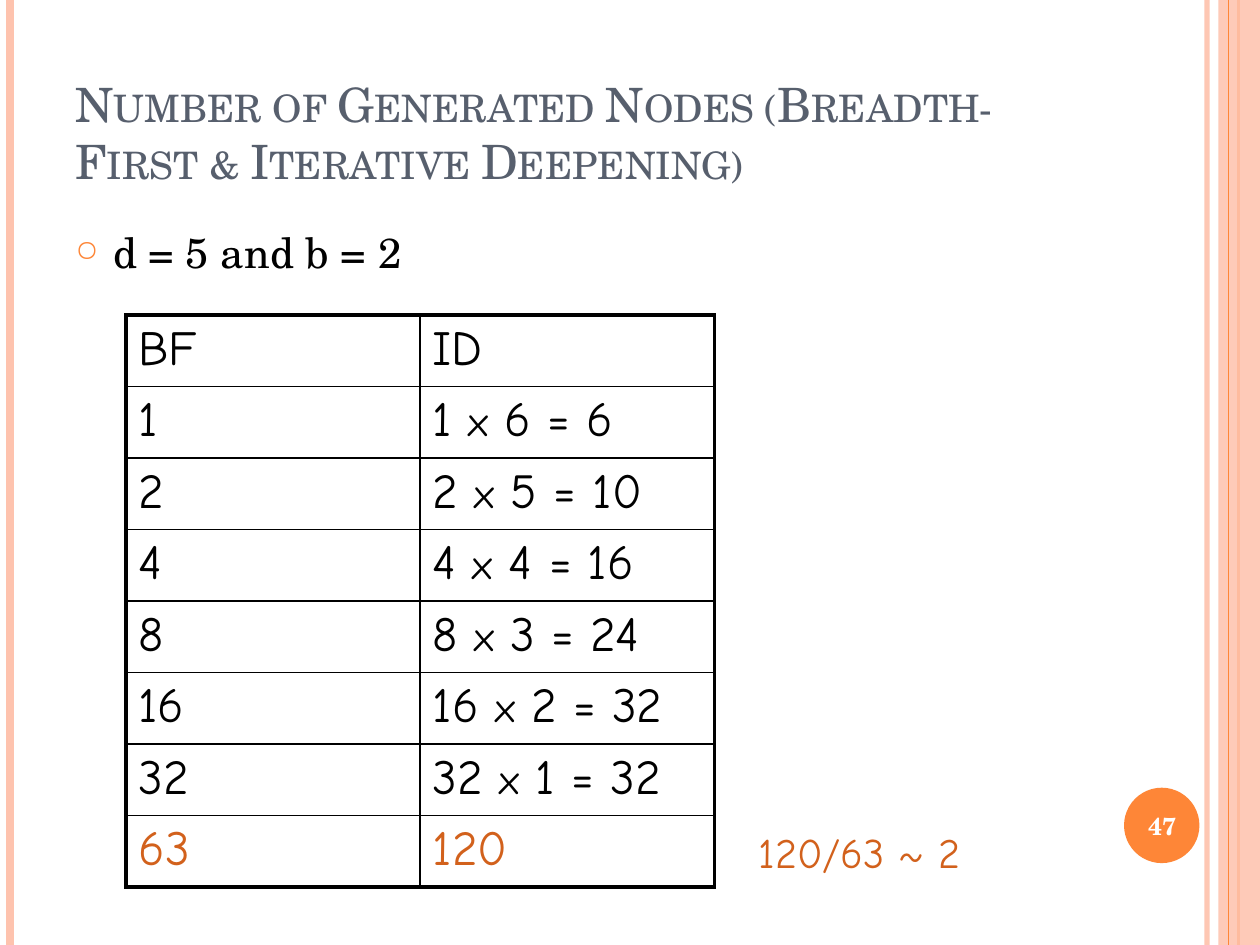
from lxml import etree
from pptx import Presentation
from pptx import util as u
from pptx.dml import color
from pptx.enum import shapes, text
from pptx.oxml import ns

SERIF, COMIC = "TeX Gyre Schola", "Comic Neue"
BLACK, WHITE, SLATE = "000000", "FFFFFF", "575F6D"
ORANGE, RUST, PEACH = "FE8637", "D2611C", "FEC3AE"
SLIDE_WIDTH, SLIDE_HEIGHT = 25.4, 19.05

TITLE = "Number of Generated Nodes (Breadth-First & Iterative Deepening)"
ASSUMPTION = "d = 5 and b = 2"
RATIO = "120/63 ~ 2"
PAGE = "47"
HEADER = ("BF", "ID")
LEVELS = [(1, 6), (2, 5), (4, 4), (8, 3), (16, 2), (32, 1)]
TOTALS = ("63", "120")

BACK_STRIPES = [(24.33, PEACH, 3, 93), (0.2, PEACH, 4.5, 100), (24.97, ORANGE, 1.5, 100)]
FRONT_STRIPES = [(24.77, ORANGE, 0.75, 100)]
TABLE_LEFT, TABLE_TOP, COLUMN_WIDTH, ROW_HEIGHT = 2.54, 6.35, 5.93, 1.41
OUTER, INNER = 2.25, 1


def rgb(value):
    return color.RGBColor.from_string(value)


def child(parent, tag, **attributes):
    return etree.SubElement(parent, ns.qn(tag), attributes)


def set_alpha(element, percent):
    for swatch in element.iter(ns.qn("a:srgbClr")):
        child(swatch, "a:alpha", val=str(percent * 1000))


def add_run(paragraph, words, size, font, ink, bold=False):
    run = paragraph.add_run()
    run.text = words
    run.font.size, run.font.name, run.font.bold = u.Pt(size), font, bold
    run.font.color.rgb = rgb(ink)
    return run


def add_stripe(slide, x, ink, weight, opacity):
    line = slide.shapes.add_connector(
        shapes.MSO_CONNECTOR.STRAIGHT, u.Cm(x), 0, u.Cm(x), u.Cm(SLIDE_HEIGHT))
    line.line.color.rgb, line.line.width = rgb(ink), u.Pt(weight)
    properties = line._element.spPr
    if opacity < 100:
        set_alpha(properties, opacity)
    child(properties, "a:effectLst")


def add_block(slide, kind, left, top, width, height, fill):
    shape = slide.shapes.add_shape(kind, u.Cm(left), u.Cm(top), u.Cm(width), u.Cm(height))
    shape.shadow.inherit = False
    shape.fill.solid()
    shape.fill.fore_color.rgb = rgb(fill)
    shape.line.fill.background()
    return shape


def add_text(slide, left, top, width, height, anchor=text.MSO_ANCHOR.TOP, wrap=True):
    frame = slide.shapes.add_textbox(u.Cm(left), u.Cm(top), u.Cm(width), u.Cm(height)).text_frame
    frame.word_wrap, frame.vertical_anchor = wrap, anchor
    return frame.paragraphs[0]


def add_bullet(paragraph):
    paragraph.space_before = u.Pt(6)
    properties = paragraph._p.get_or_add_pPr()
    properties.set("marL", str(u.Cm(0.76)))
    properties.set("indent", str(u.Cm(-0.76)))
    child(child(properties, "a:buClr"), "a:srgbClr", val=ORANGE)
    child(properties, "a:buSzPct", val="70000")
    child(properties, "a:buChar", char="○")


def set_borders(cell, weights):
    properties = cell._tc.get_or_add_tcPr()
    for side, weight in weights.items():
        line = child(properties, "a:ln" + side, w=str(u.Pt(weight)))
        child(child(line, "a:solidFill"), "a:srgbClr", val=BLACK)


def add_node_table(slide):
    rows = [[[(label, 28)] for label in HEADER]]
    rows += [[[(str(nodes), 28)],
              [(f"{nodes} ", 28), ("x", 24), (f" {times} = {nodes * times}", 28)]]
             for nodes, times in LEVELS]
    rows.append([[(total, 28)] for total in TOTALS])
    last_row, last_column = len(rows) - 1, len(HEADER) - 1
    table = slide.shapes.add_table(
        len(rows), len(HEADER), u.Cm(TABLE_LEFT), u.Cm(TABLE_TOP),
        u.Cm(COLUMN_WIDTH * len(HEADER)), u.Cm(ROW_HEIGHT * len(rows))).table
    table.first_row = table.horz_banding = False
    for column in table.columns:
        column.width = u.Cm(COLUMN_WIDTH)
    for r, row in enumerate(rows):
        table.rows[r].height = u.Cm(ROW_HEIGHT)
        for c, pieces in enumerate(row):
            cell = table.cell(r, c)
            set_borders(cell, {
                "L": OUTER if c == 0 else INNER,
                "R": OUTER if c == last_column else INNER,
                "T": OUTER if r == 0 else INNER,
                "B": OUTER if r == last_row else INNER})
            cell.fill.background()
            for words, size in pieces:
                add_run(cell.text_frame.paragraphs[0], words, size, COMIC,
                        RUST if r == last_row else BLACK)


presentation = Presentation()
presentation.slide_width, presentation.slide_height = u.Cm(SLIDE_WIDTH), u.Cm(SLIDE_HEIGHT)
slide = presentation.slides.add_slide(presentation.slide_layouts[6])

for stripe in BACK_STRIPES:
    add_stripe(slide, *stripe)
band = add_block(slide, shapes.MSO_SHAPE.RECTANGLE, 24.56, 0, 0.84, SLIDE_HEIGHT, PEACH)
set_alpha(band._element.spPr, 87)
for stripe in FRONT_STRIPES:
    add_stripe(slide, *stripe)
add_block(slide, shapes.MSO_SHAPE.OVAL, 22.66, 15.88, 1.52, 1.52, ORANGE)

title = add_text(slide, 1.27, 0.76, 20.75, 3.18, text.MSO_ANCHOR.BOTTOM)
add_run(title, TITLE, 27, SERIF, SLATE).font._element.set("cap", "small")

assumption = add_text(slide, 1.27, 4.45, 20.75, 13.54)
add_bullet(assumption)
add_run(assumption, ASSUMPTION, 24, SERIF, BLACK)

page = add_text(slide, 22.58, 15.93, 1.7, 1.45, text.MSO_ANCHOR.MIDDLE)
page.alignment = text.PP_ALIGN.CENTER
add_run(page, PAGE, 14, SERIF, WHITE, bold=True)

add_node_table(slide)

ratio = add_text(slide, 15.04, 16.54, 4.9, 1.27, wrap=False)
add_run(ratio, RATIO, 24, COMIC, RUST)

presentation.save("out.pptx")
